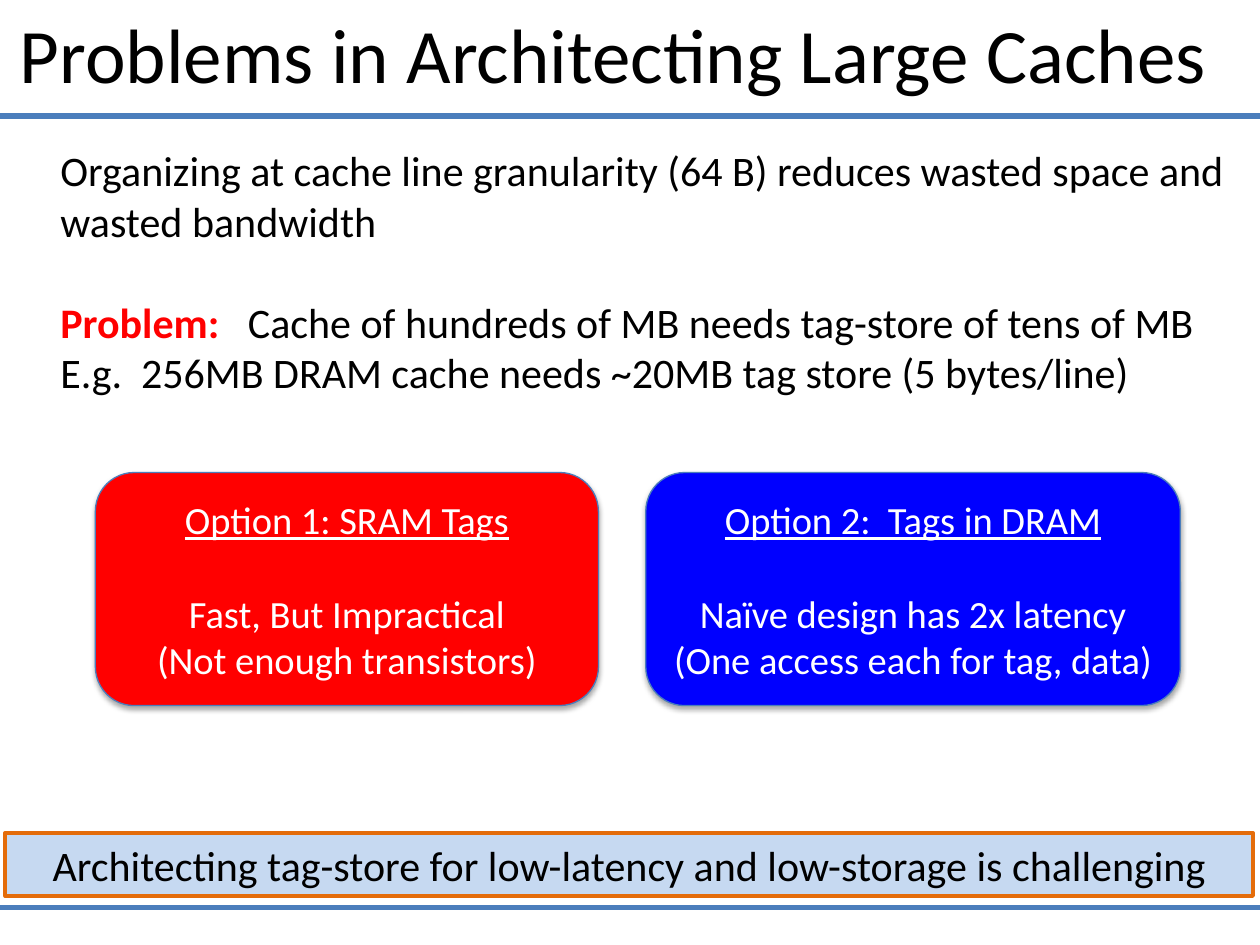
import pptx
import pptx.dml.color
import pptx.enum.shapes
import pptx.enum.text
import pptx.oxml
import pptx.util
from pptx.oxml.ns import nsdecls, qn

Pt = pptx.util.Pt
Shape = pptx.enum.shapes.MSO_SHAPE
Anchor = pptx.enum.text.MSO_ANCHOR
Align = pptx.enum.text.PP_ALIGN

FONT = "Calibri"
WIDTH, HEIGHT = 720, 540
RULE_COLOR = "4B7EBC"
RULE_HEIGHTS = [66.24, 518.4]

# A paragraph is (space before, runs); a run is (text, colour, style).
TITLE = [(0, [("Problems in Architecting Large Caches", "000000", "")])]
BODY = [
    (0, [("Organizing at cache line granularity (64 B) reduces wasted space "
          "and wasted bandwidth", "000000", "")]),
    (29, [("Problem:   ", "FF0000", "bold"),
          ("Cache of hundreds of MB needs tag-store of tens of MB", "000000", "")]),
    (0, [("E.g.  256MB DRAM cache needs ~20MB tag store (5 bytes/line)",
          "000000", "")]),
]
CONCLUSION = [(0, [("Architecting tag-store for low-latency and low-storage "
                    "is challenging", "000000", "")])]
# left, width, fill, heading, lines
OPTIONS = [
    (54.5, 287.5, "FF0000", "Option 1: SRAM Tags",
     ["Fast, But Impractical", "(Not enough transistors)"]),
    (369, 305.5, "0000FF", "Option 2:  Tags in DRAM",
     ["Naïve design has 2x latency", "(One access each for tag, data)"]),
]
OPTION_TOP, OPTION_HEIGHT, OPTION_GAP = 270, 133.2, 27


def rgb(color):
    return pptx.dml.color.RGBColor.from_string(color)


def write(shape, paragraphs, size, align=Align.LEFT, anchor=Anchor.TOP):
    frame = shape.text_frame
    frame.word_wrap = True
    frame.vertical_anchor = anchor
    for index, (space, runs) in enumerate(paragraphs):
        para = frame.add_paragraph() if index else frame.paragraphs[0]
        para.alignment = align
        para.space_before = Pt(space)
        for text, color, style in runs:
            span = para.add_run()
            span.text = text
            span.font.name = FONT
            span.font.size = Pt(size)
            span.font.color.rgb = rgb(color)
            span.font.bold = style == "bold"
            span.font.underline = style == "underline"


def add_text(page, left, top, width, height, paragraphs, size):
    box = page.shapes.add_textbox(Pt(left), Pt(top), Pt(width), Pt(height))
    write(box, paragraphs, size)


def add_panel(page, kind, left, top, width, height, fill, line, weight):
    panel = page.shapes.add_shape(kind, Pt(left), Pt(top), Pt(width), Pt(height))
    panel.shadow.inherit = False
    panel.fill.solid()
    panel.fill.fore_color.rgb = rgb(fill)
    panel.line.color.rgb = rgb(line)
    panel.line.width = Pt(weight)
    return panel


def add_shadow(shape):
    """Cast a soft black shadow straight down."""
    effects = shape.element.spPr.find(qn("a:effectLst"))
    effects.append(pptx.oxml.parse_xml(
        f'<a:outerShdw {nsdecls("a")} blurRad="{Pt(3.1)}" dist="{Pt(1.8)}" '
        'dir="5400000" rotWithShape="0"><a:srgbClr val="000000">'
        '<a:alpha val="35000"/></a:srgbClr></a:outerShdw>'))


def add_rule(page, y):
    rule = page.shapes.add_connector(
        pptx.enum.shapes.MSO_CONNECTOR.STRAIGHT, 0, Pt(y), Pt(WIDTH), Pt(y))
    rule.line.color.rgb = rgb(RULE_COLOR)
    rule.line.width = Pt(3)
    rule.element.spPr.append(
        pptx.oxml.parse_xml(f'<a:effectLst {nsdecls("a")}/>'))


def main():
    deck = pptx.Presentation()
    deck.slide_width, deck.slide_height = Pt(WIDTH), Pt(HEIGHT)
    page = deck.slides.add_slide(deck.slide_layouts[6])

    for y in RULE_HEIGHTS:
        add_rule(page, y)
    add_text(page, 4.3, 0, 715.7, 69, TITLE, 44)
    banner = add_panel(page, Shape.RECTANGLE, 3, 476, 713, 36,
                       "C6D9F1", "E46C0A", 2.25)
    write(banner, CONCLUSION, 24, Align.CENTER)
    add_text(page, 27.4, 79.2, 692.6, 181.4, BODY, 24)

    for left, width, fill, heading, lines in OPTIONS:
        panel = add_panel(page, Shape.ROUNDED_RECTANGLE, left, OPTION_TOP,
                          width, OPTION_HEIGHT, fill, RULE_COLOR, 0.75)
        add_shadow(panel)
        paragraphs = [(0, [(heading, "FFFFFF", "underline")])]
        for index, line in enumerate(lines):
            space = 0 if index else OPTION_GAP
            paragraphs.append((space, [(line, "FFFFFF", "")]))
        write(panel, paragraphs, 22, Align.CENTER, Anchor.MIDDLE)

    deck.save("out.pptx")


if __name__ == "__main__":
    main()
